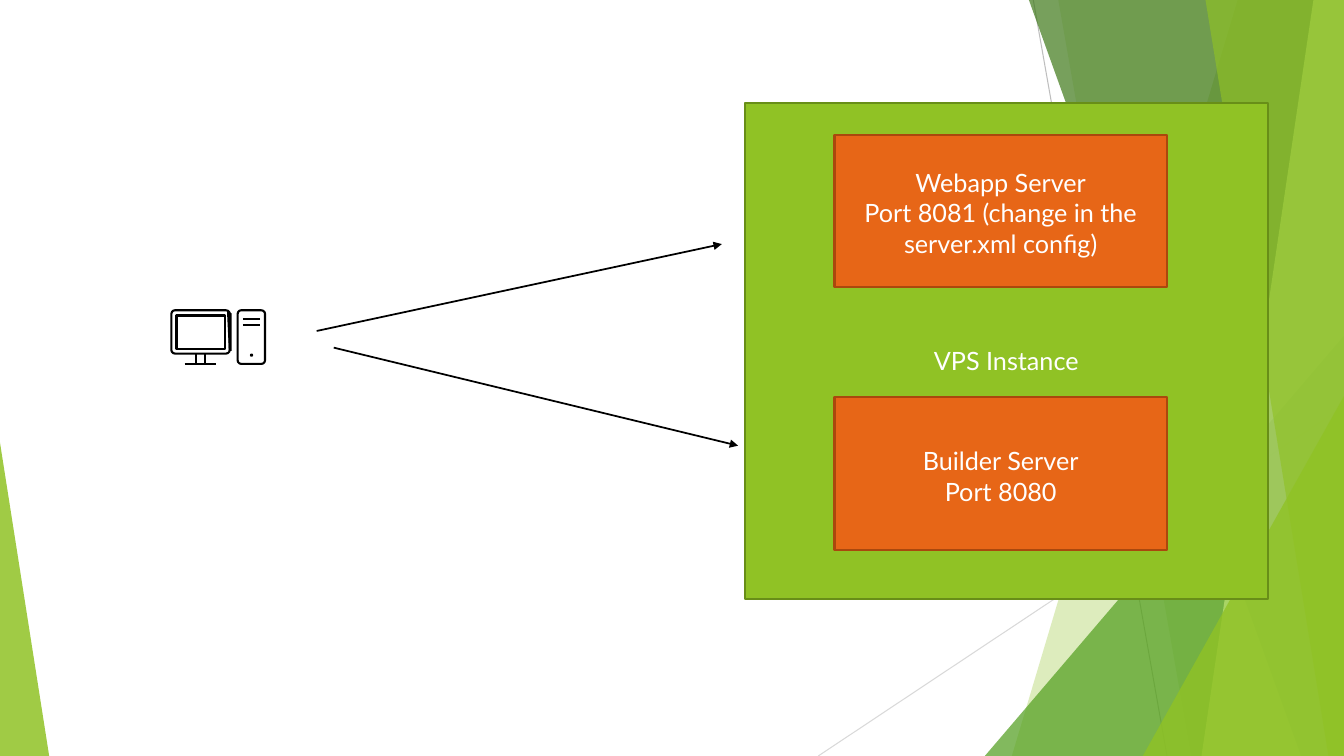
from lxml.etree import SubElement
from pptx import Presentation
from pptx.dml.color import RGBColor
from pptx.enum.shapes import MSO_CONNECTOR as Connector, MSO_SHAPE as Preset
from pptx.enum.text import MSO_ANCHOR as Anchor, PP_ALIGN as Align
from pptx.oxml.ns import qn
from pptx.util import Cm, Pt

WIDTH, HEIGHT = 33.87, 19.05
GREEN, ORANGE, BLACK = "90C225", "E76617", "000000"

deck = Presentation()
deck.slide_width, deck.slide_height = Cm(WIDTH), Cm(HEIGHT)
page = deck.slides.add_slide(deck.slide_layouts[6])


def paint(shape, fill=None, line=None, weight=1.5, alpha=100):
    """Set fill, opacity in percent and outline, and drop the shadow."""
    shape.shadow.inherit = False
    if fill:
        shape.fill.solid()
        shape.fill.fore_color.rgb = RGBColor.from_string(fill)
        if alpha < 100:
            color = shape.fill._xPr.find(qn("a:solidFill"))[0]
            SubElement(color, qn("a:alpha"), val=str(alpha * 1000))
    else:
        shape.fill.background()
    if line:
        shape.line.color.rgb = RGBColor.from_string(line)
        shape.line.width = Pt(weight)
    else:
        shape.line.fill.background()


def add_line(x1, y1, x2, y2, color=BLACK, weight=1.5, arrow=False):
    """Draw a straight line, with an arrowhead at its end if asked."""
    line = page.shapes.add_connector(
        Connector.STRAIGHT, Cm(x1), Cm(y1), Cm(x2), Cm(y2))
    line.line.color.rgb = RGBColor.from_string(color)
    line.line.width = Pt(weight)
    if arrow:
        SubElement(line.line._get_or_add_ln(), qn("a:tailEnd"), type="triangle")
    SubElement(line._element.spPr, qn("a:effectLst"))


# Background: thin lines, then translucent facets on the right and left
add_line(26.04, 0, 29.41, HEIGHT, "BEBEBE", 0.75)
add_line(WIDTH, 10.24, 20.62, HEIGHT, "D9D9D9", 0.75)

facets = []
for top_x, top_y, bottom_x, color, alpha in [
    (31.19, 0, 25.5, GREEN, 30),
    (26.67, 0, 30.02, GREEN, 20),
    (WIDTH, 8.46, 24.82, "539F20", 72),
    (25.93, 0, 32.79, "3E7818", 70),
    (33.1, 0, 30.28, "C0E374", 70),
    (30.38, 0, 33.48, GREEN, 65),
    (WIDTH, 9.98, 28.8, GREEN, 80),
]:
    corners = [(WIDTH, top_y), (top_x, top_y), (bottom_x, HEIGHT), (WIDTH, HEIGHT)]
    facets.append((corners, color, alpha))
facets.append(([(0, 11.15), (0, HEIGHT), (1.24, HEIGHT)], GREEN, 85))
monitor_edge = [(5.72, 7.82), (5.77, 8.84), (5.84, 8.84), (5.84, 7.9)]
facets.append((monitor_edge, BLACK, 100))

for corners, color, alpha in facets:
    points = [(Cm(x), Cm(y)) for x, y in corners]
    builder = page.shapes.build_freeform(*points[0])
    builder.add_line_segments(points[1:], close=True)
    paint(builder.convert_to_shape(), color, alpha=alpha)

# Instance and the two servers inside it
for left, top, width, height, fill, edge, inset, lines in [
    (18.77, 2.59, 13.18, 12.5, GREEN, "688E18", 6.12, ["VPS Instance"]),
    (21.03, 3.4, 8.38, 3.84, ORANGE, "AA480D", 0.82,
     ["Webapp Server", "Port 8081 (change in the", "server.xml config)"]),
    (21.03, 10.01, 8.38, 3.84, ORANGE, "AA480D", 1.22,
     ["Builder Server", "Port 8080"]),
]:
    box = page.shapes.add_shape(
        Preset.RECTANGLE, Cm(left), Cm(top), Cm(width), Cm(height))
    paint(box, fill, edge)
    frame = box.text_frame
    frame.word_wrap = True
    frame.vertical_anchor = Anchor.TOP
    frame.margin_left = frame.margin_right = frame.margin_bottom = 0
    frame.margin_top = Cm(inset)
    for index, text in enumerate(lines):
        para = frame.add_paragraph() if index else frame.paragraphs[0]
        para.alignment = Align.CENTER
        span = para.add_run()
        span.text = text
        span.font.name, span.font.size = "Lato", Pt(18)
        span.font.color.rgb = RGBColor.from_string("FFFFFF")

# Desktop computer: monitor, screen, tower and power button
for preset, left, top, width, height, fill in [
    (Preset.ROUNDED_RECTANGLE, 4.32, 7.82, 1.47, 1.09, None),
    (Preset.RECTANGLE, 4.45, 7.95, 1.22, 0.84, None),
    (Preset.ROUNDED_RECTANGLE, 5.99, 7.82, 0.69, 1.35, None),
    (Preset.OVAL, 6.3, 8.91, 0.08, 0.08, BLACK),
]:
    part = page.shapes.add_shape(preset, Cm(left), Cm(top), Cm(width), Cm(height))
    paint(part, fill, None if fill else BLACK)
    if preset == Preset.ROUNDED_RECTANGLE:
        part.adjustments[0] = 0.09 / min(width, height)

for neck_x in (4.95, 5.16):
    add_line(neck_x, 8.92, neck_x, 9.17)
add_line(4.65, 9.17, 5.44, 9.17)
for slot_y in (8.03, 8.18):
    add_line(6.12, slot_y, 6.55, slot_y)

# Requests from the computer to each server
add_line(7.98, 8.34, 18.19, 6.15, weight=1.25, arrow=True)
add_line(8.41, 8.76, 18.6, 11.23, weight=1.25, arrow=True)

deck.save("out.pptx")
